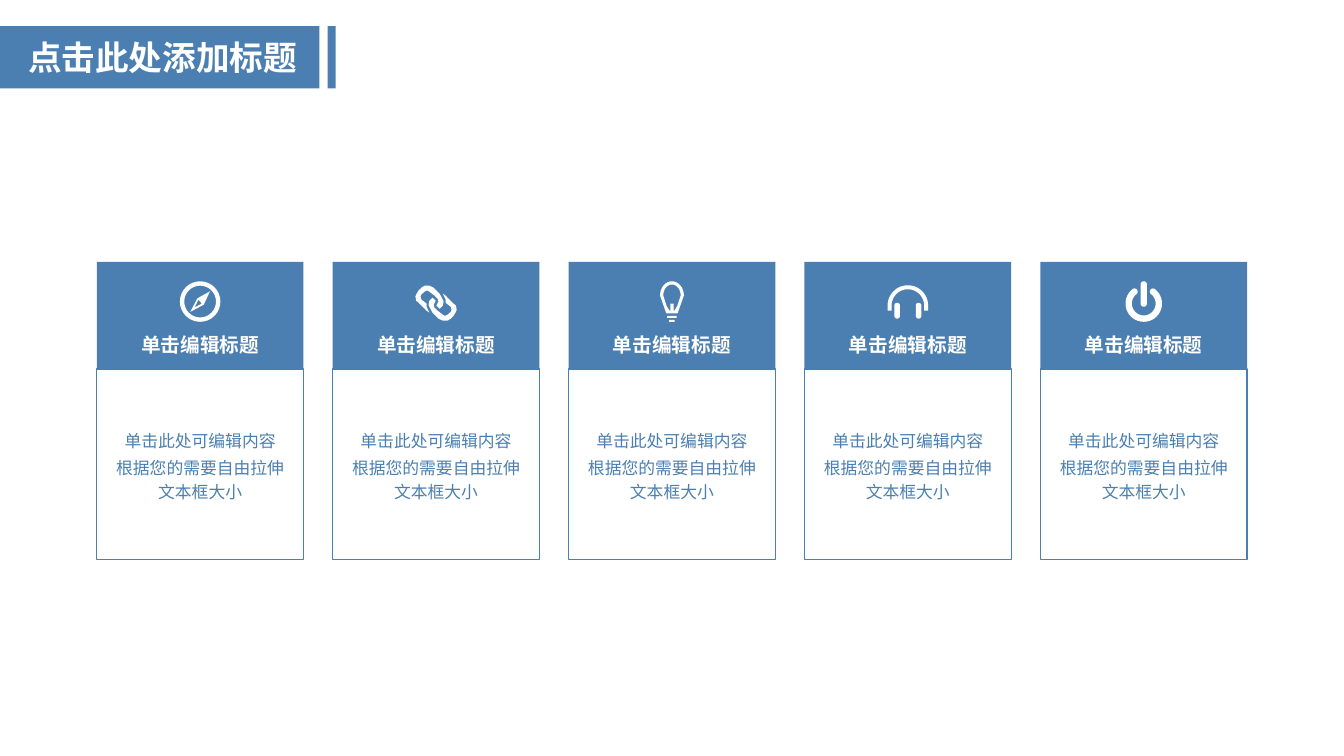
from math import cos, radians, sin

from lxml.etree import SubElement
from pptx import Presentation
from pptx.dml.color import RGBColor
from pptx.enum.shapes import MSO_SHAPE as SHAPE
from pptx.enum.text import MSO_AUTO_SIZE as AUTO, PP_ALIGN as ALIGN
from pptx.oxml.ns import qn
from pptx.util import Cm, Pt

COLORS = {"blue": "4B7FB1", "white": "FFFFFF"}
BODY_FONT, HEAD_FONT = "Arial", "Noto Sans CJK SC"


class Deck:
    def __init__(self, slide):
        self.slide = slide

    def paint(self, s, fill=None, line=None):
        s.shadow.inherit = False
        if fill:
            s.fill.solid()
            s.fill.fore_color.rgb = RGBColor.from_string(COLORS[fill])
        else:
            s.fill.background()
        if line:
            s.line.color.rgb = RGBColor.from_string(COLORS[line])
            s.line.width = Pt(1)
        else:
            s.line.fill.background()

    def rect(self, x, y, w, h, fill=None, line=None):
        s = self.slide.shapes.add_shape(SHAPE.RECTANGLE, Cm(x), Cm(y), Cm(w), Cm(h))
        self.paint(s, fill, line)

    def icon(self, cx, cy, contours):
        """Contours hold points in cm around the icon centre."""
        placed = [[(Cm(cx + x), Cm(cy + y)) for x, y in c] for c in contours]
        builder = self.slide.shapes.build_freeform(*placed[0][0])
        for i, points in enumerate(placed):
            if i:
                builder.move_to(*points[0])
            builder.add_line_segments(points[1:], close=True)
        self.paint(builder.convert_to_shape(), "white")

    def text(self, x, y, w, h, lines, size, font, color, bold=False,
             align=ALIGN.LEFT, spacing=None):
        s = self.slide.shapes.add_textbox(Cm(x), Cm(y), Cm(w), Cm(h))
        tf = s.text_frame
        tf.word_wrap = True
        tf.auto_size = AUTO.SHAPE_TO_FIT_TEXT
        tf.text = "\n".join(lines)
        for i, p in enumerate(tf.paragraphs):
            p.alignment = align
            p.line_spacing = spacing
            if i:
                p.space_before = Pt(size * 0.2)
            for r in p.runs:
                r.font.size, r.font.bold, r.font.name = Pt(size), bold, font
                r.font.color.rgb = RGBColor.from_string(COLORS[color])
                SubElement(r.font._element, qn("a:ea")).set("typeface", font)


# Outline helpers, angles clockwise from the right
def arc(cx, cy, rx, ry, start, end, steps=32):
    angles = [radians(start + (end - start) * i / steps) for i in range(steps + 1)]
    return [(cx + rx * cos(a), cy + ry * sin(a)) for a in angles]


def circle(r):
    return arc(0, 0, r, r, 0, 360)


def bar(half, top, bottom):
    return [(-half, top), (half, top), (half, bottom), (-half, bottom)]


def pill(cx, r, top, bottom):
    return arc(cx, top + r, r, r, 180, 360) + arc(cx, bottom - r, r, r, 0, 180)


def compass():
    needle = [(0.25, -0.26), (0.09, 0.08), (-0.25, 0.26), (-0.07, -0.08)]
    notch = [(-0.04, -0.05), (-0.14, 0.15), (0.04, 0.05)]
    return [circle(0.51), circle(0.4), needle, notch]


def chain():
    link = [(0.17, -0.24), (0.24, -0.19), (0.44, 0.01), (0.5, 0.06), (0.52, 0.17),
            (0.5, 0.22), (0.44, 0.32), (0.37, 0.39), (0.29, 0.44), (0.17, 0.44),
            (0.06, 0.39), (-0.09, 0.24), (-0.17, 0.09), (-0.19, 0.04),
            (-0.17, -0.06), (-0.09, -0.14), (-0.01, -0.06), (-0.06, 0.04),
            (-0.04, 0.11), (0.04, 0.19), (0.17, 0.29), (0.22, 0.32), (0.29, 0.29),
            (0.37, 0.22), (0.39, 0.17), (0.37, 0.09), (0.24, -0.01), (0.24, -0.09)]
    return [link, [(-x, -y) for x, y in link]]


def bulb():
    glass = arc(0, -0.15, 0.3, 0.36, 180, 360) + [
        (0.22, 0.08), (0.14, 0.3), (-0.14, 0.3), (-0.22, 0.08)]
    right = [(0.13, 0.12), (0.06, 0.23), (0.04, 0.23), (0.04, 0.05)]
    left = [(-x, y) for x, y in reversed(right)]
    inside = arc(0, -0.15, 0.22, 0.28, 180, 360) + right + left
    return [glass, inside, bar(0.12, 0.36, 0.41), bar(0.07, 0.46, 0.51)]


def headphones():
    band = (arc(0, 0.1, 0.51, 0.51, 180, 360) + [(0.51, 0.23), (0.41, 0.23)]
            + arc(0, 0.1, 0.41, 0.41, 360, 180) + [(-0.41, 0.23), (-0.51, 0.23)])
    return [band] + [pill(x, 0.07, 0.03, 0.43) for x in (-0.27, 0.27)]


def power():
    cy, start, end = 0.05, -52, 232
    (x1, y1), (x2, y2) = arc(0, cy, 0.38, 0.38, start, end, 1)
    ring = (arc(0, cy, 0.46, 0.46, start, end) + arc(x2, y2, 0.08, 0.08, end, end + 180)
            + arc(0, cy, 0.3, 0.3, end, start)
            + arc(x1, y1, 0.08, 0.08, start + 180, start + 360))
    return [ring, pill(0, 0.08, -0.51, 0.13)]


def main():
    prs = Presentation()
    prs.slide_width, prs.slide_height = Cm(33.87), Cm(19.05)
    deck = Deck(prs.slides.add_slide(prs.slide_layouts[6]))

    # Title banner
    deck.rect(8.26, 0.66, 0.2, 1.57, "blue")
    deck.rect(0, 0.66, 8.05, 1.57, "blue")
    deck.text(0.46, 0.81, 8, 1.27, ["点击此处添加标题"], 24, BODY_FONT, "white", True)

    # Five cards
    left, pitch, width = 2.44, 5.945, 5.21
    icons = [(compass, 7.6), (chain, 7.64), (bulb, 7.6), (headphones, 7.6), (power, 7.6)]
    for i, (draw, icon_y) in enumerate(icons):
        x = left + i * pitch
        deck.rect(x, 6.6, width, 2.7, "blue")
        deck.rect(x, 9.3, width, 4.8, line="blue")
        deck.icon(x + width / 2, icon_y, draw())
        deck.text(x, 8.15, width, 0.97, ["单击编辑标题"], 14, HEAD_FONT, "white",
                  True, ALIGN.CENTER, 1.2)
        deck.text(x + 0.15, 10.62, width - 0.3, 2.2,
                  ["单击此处可编辑内容", "根据您的需要自由拉伸文本框大小"],
                  12, BODY_FONT, "blue", False, ALIGN.CENTER, 1.2)

    prs.save("out.pptx")


if __name__ == "__main__":
    main()
